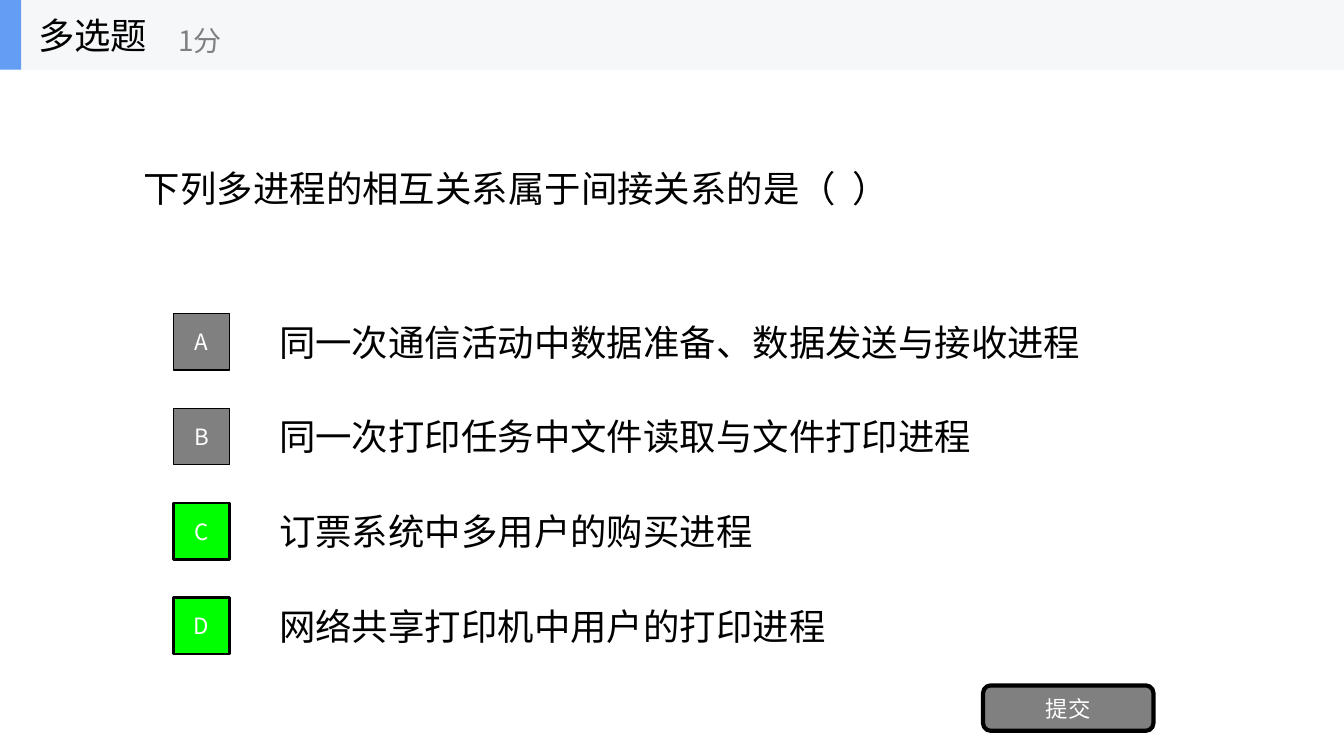
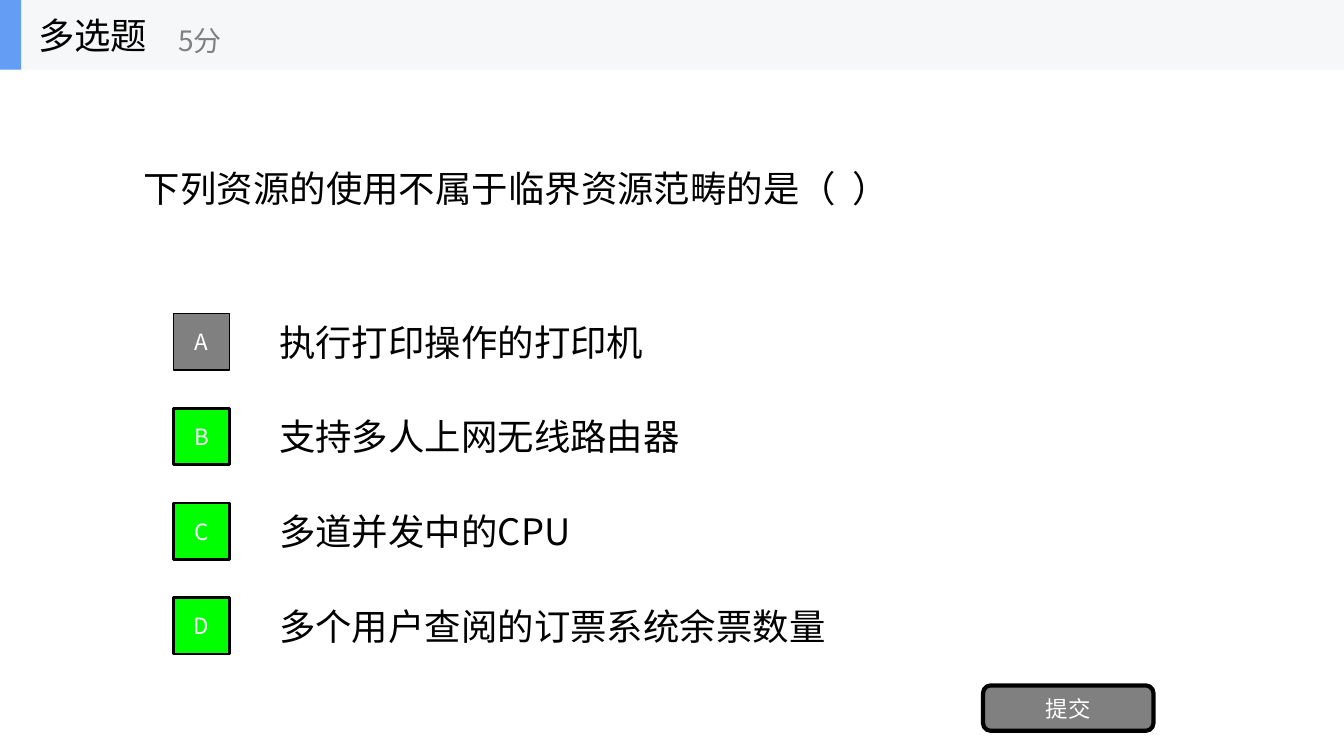
from lxml import etree
from pptx import Presentation
from pptx.dml.color import RGBColor
from pptx.enum import shapes, text
from pptx.oxml.ns import qn
from pptx.util import Inches, Pt

FONT = "Noto Sans CJK SC"
COLORS = {
    "ink": "000000",
    "white": "FFFFFF",
    "gray": "808080",
    "correct": "00FF00",
    "band": "F6F7F8",
    "accent": "639EF4",
}
SLIDE_W, SLIDE_H = 13.33, 7.5
HEADER_H = 0.69
RECT = shapes.MSO_SHAPE.RECTANGLE
ROUNDED = shapes.MSO_SHAPE.ROUNDED_RECTANGLE

QUESTIONS = [
    {
        "points": "1分",
        "stem": "下列多进程的相互关系属于间接关系的是（  ）",
        "options": [
            "同一次通信活动中数据准备、数据发送与接收进程",
            "同一次打印任务中文件读取与文件打印进程",
            "订票系统中多用户的购买进程",
            "网络共享打印机中用户的打印进程",
        ],
        "answers": "CD",
    },
    {
        "points": "5分",
        "stem": "下列资源的使用不属于临界资源范畴的是（  ）",
        "options": [
            "执行打印操作的打印机",
            "支持多人上网无线路由器",
            "多道并发中的CPU",
            "多个用户查阅的订票系统余票数量",
        ],
        "answers": "BCD",
    },
]


def rgb(name):
    return RGBColor.from_string(COLORS[name])


def write(sp, words, size, color, align=text.PP_ALIGN.LEFT):
    tf = sp.text_frame
    tf.word_wrap = True
    tf.vertical_anchor = text.MSO_ANCHOR.MIDDLE
    tf.text = words
    p = tf.paragraphs[0]
    p.alignment = align
    r = p.runs[0]
    r.font.size = Pt(size)
    r.font.color.rgb = rgb(color)
    r.font.name = FONT
    etree.SubElement(r.font._element, qn("a:ea"), typeface=FONT)


def add_label(parent, box, words, size=26, color="ink"):
    sp = parent.add_textbox(*map(Inches, box))
    write(sp, words, size, color)


def add_block(parent, kind, box, fill, line=0):
    """Add a filled shape; a line width of 0 means no outline."""
    sp = parent.add_shape(kind, *map(Inches, box))
    sp.shadow.inherit = False
    sp.fill.solid()
    sp.fill.fore_color.rgb = rgb(fill)
    if line:
        sp.line.color.rgb = rgb("ink")
        sp.line.width = Pt(line)
    else:
        sp.line.fill.background()
    return sp


def add_button(parent, kind, box, words, fill, line):
    sp = add_block(parent, kind, box, fill, line)
    write(sp, words, 16, "white", text.PP_ALIGN.CENTER)


def add_header(s, x, y, w, h, points):
    parts = s.shapes.add_group_shape().shapes
    add_block(parts, RECT, (x, y, w, h), "band")
    add_block(parts, RECT, (x, y, 0.21, h), "accent")
    add_label(parts, (x + 0.28, y, 2.08, h), "多选题")
    add_label(parts, (x + 1.67, y + 0.12, 2.5, 0.56), points, 20, "gray")


def add_options(s, x, y, w, pitch, options, answers):
    """Stack one lettered badge and its wording per row."""
    for i, (letter, words) in enumerate(zip("ABCD", options)):
        top = y + i * pitch
        fill, line = ("correct", 2) if letter in answers else ("gray", 1)
        add_button(s.shapes, RECT, (x, top + 0.07, 0.56, 0.56),
                   letter, fill, line)
        add_label(s.shapes, (x + 0.95, top, w - 0.95, 0.7), words)


def add_question_slide(prs, question):
    s = prs.slides.add_slide(prs.slide_layouts[6])
    add_label(s.shapes, (1.33, HEADER_H, 10.67, 2.34), question["stem"])
    add_options(s, 1.72, 3.04, 10.28, 0.94,
                question["options"], question["answers"])
    add_button(s.shapes, ROUNDED, (9.75, 6.8, 1.69, 0.45), "提交", "gray", 3)
    add_header(s, 0, 0, SLIDE_W, HEADER_H, question["points"])


def main():
    prs = Presentation()
    prs.slide_width, prs.slide_height = Inches(SLIDE_W), Inches(SLIDE_H)
    for question in QUESTIONS:
        add_question_slide(prs, question)
    prs.save("out.pptx")


if __name__ == "__main__":
    main()
